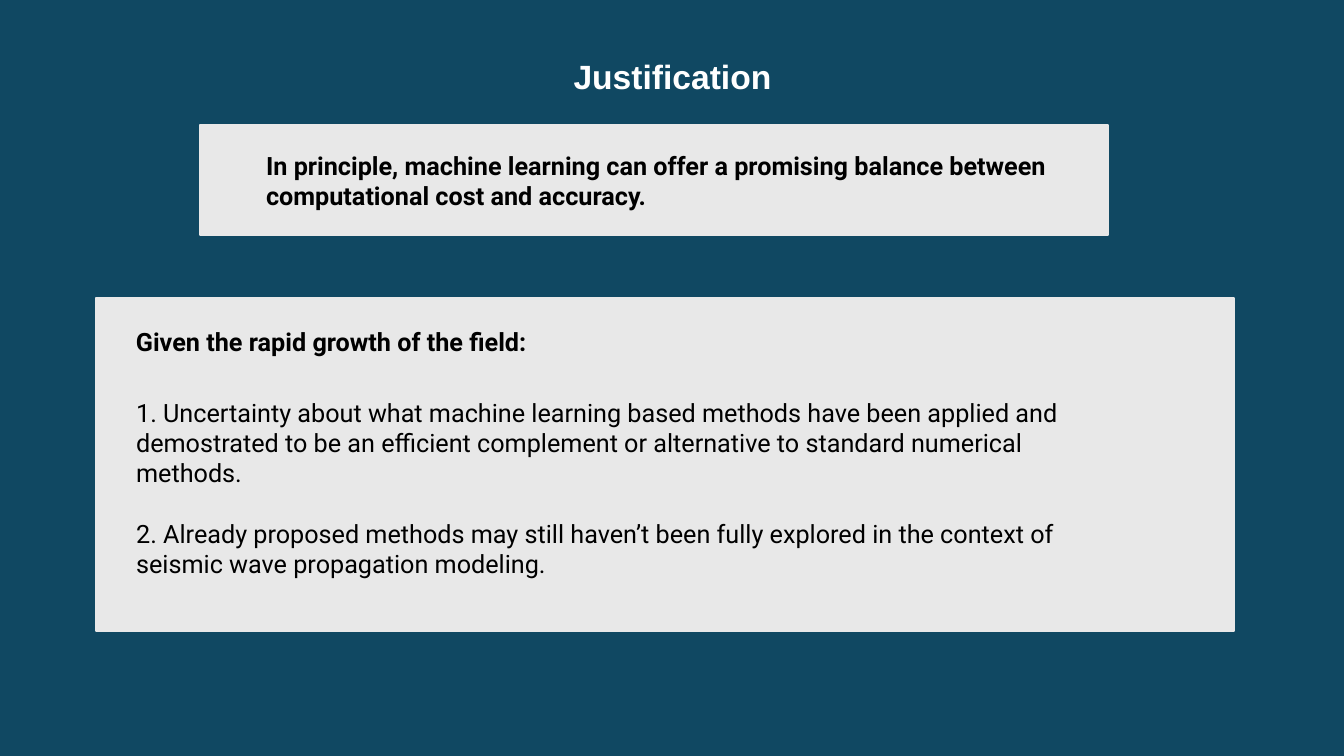
from pptx import Presentation, util as u
from pptx.dml.color import RGBColor
from pptx.enum import shapes, text
from lxml import etree

DRAWING_NS = "http://schemas.openxmlformats.org/drawingml/2006/main"


def colour(code):
    return RGBColor.from_string(code)


class JustificationSlide:
    NAVY, PANEL, WHITE, BLACK = "104862", "E8E8E8", "FFFFFF", "000000"
    HEAD_FONT, BODY_FONT = "Arial", "Roboto"

    def __init__(self, deck):
        self.slide = deck.slides.add_slide(deck.slide_layouts[1])
        backdrop = self.slide.background.fill
        backdrop.solid()
        backdrop.fore_color.rgb = colour(self.NAVY)

    def place(self, holder, box):
        holder.left, holder.top, holder.width, holder.height = map(u.Inches, box)
        self.slide.shapes._spTree.append(holder._element)

    def set_wording(self, frame, paragraphs, size, font, ink, bold, align, gap=0):
        frame.word_wrap = True
        frame.auto_size = text.MSO_AUTO_SIZE.NONE
        frame.text = "\n".join(paragraphs)
        for index, paragraph in enumerate(frame.paragraphs):
            paragraph.alignment = align
            paragraph.space_before = u.Pt(gap if index else 0)
            for run in paragraph.runs:
                run.font.size = u.Pt(size)
                run.font.name = font
                run.font.bold = bold
                run.font.color.rgb = colour(ink)

    def title(self, wording, box):
        heading = self.slide.shapes.title
        self.place(heading, box)
        heading.text_frame.vertical_anchor = text.MSO_ANCHOR.MIDDLE
        self.set_wording(heading.text_frame, [wording], 24, self.HEAD_FONT,
                         self.WHITE, True, text.PP_ALIGN.CENTER)

    def panel(self, box):
        card = self.slide.shapes.add_shape(
            shapes.MSO_SHAPE.RECTANGLE, *map(u.Inches, box))
        card.shadow.inherit = False
        card.fill.solid()
        card.fill.fore_color.rgb = colour(self.PANEL)
        card.line.color.rgb = colour(self.PANEL)
        card.line.width = u.Pt(1.5)

    def statement(self, wording, box):
        claim = self.slide.shapes.add_textbox(*map(u.Inches, box))
        self.set_wording(claim.text_frame, [wording], 18, self.BODY_FONT,
                         self.BLACK, True, text.PP_ALIGN.LEFT)

    def reasons(self, points, box):
        body = self.slide.placeholders[1]
        self.place(body, box)
        self.set_wording(body.text_frame, points, 18, self.BODY_FONT,
                         self.BLACK, False, text.PP_ALIGN.LEFT, gap=21.5)
        for paragraph in body.text_frame.paragraphs:
            settings = paragraph._p.get_or_add_pPr()
            settings.set("marL", "0")
            settings.set("indent", "0")
            etree.SubElement(settings, f"{{{DRAWING_NS}}}buNone")


def main():
    deck = Presentation()
    deck.slide_width, deck.slide_height = u.Inches(13.33), u.Inches(7.5)

    page = JustificationSlide(deck)
    page.title("Justification", (2.76, 0.5, 7.82, 0.5))
    page.panel((1.98, 1.24, 9.01, 1.09))
    page.statement(
        "In principle, machine learning can offer a promising balance between "
        "computational cost and accuracy.", (2.54, 1.44, 8.69, 0.71))
    page.panel((0.95, 2.96, 11.29, 3.3))
    page.statement("Given the rapid growth of the field:", (1.25, 3.19, 6.67, 0.71))
    page.reasons([
        "1. Uncertainty about what machine learning based methods have been "
        "applied and demostrated to be an efficient complement or alternative "
        "to standard numerical methods.",
        "2. Already proposed methods may still haven’t been fully explored in "
        "the context of seismic wave propagation modeling.",
    ], (1.25, 3.89, 10.08, 1.92))

    deck.save("out.pptx")


if __name__ == "__main__":
    main()
